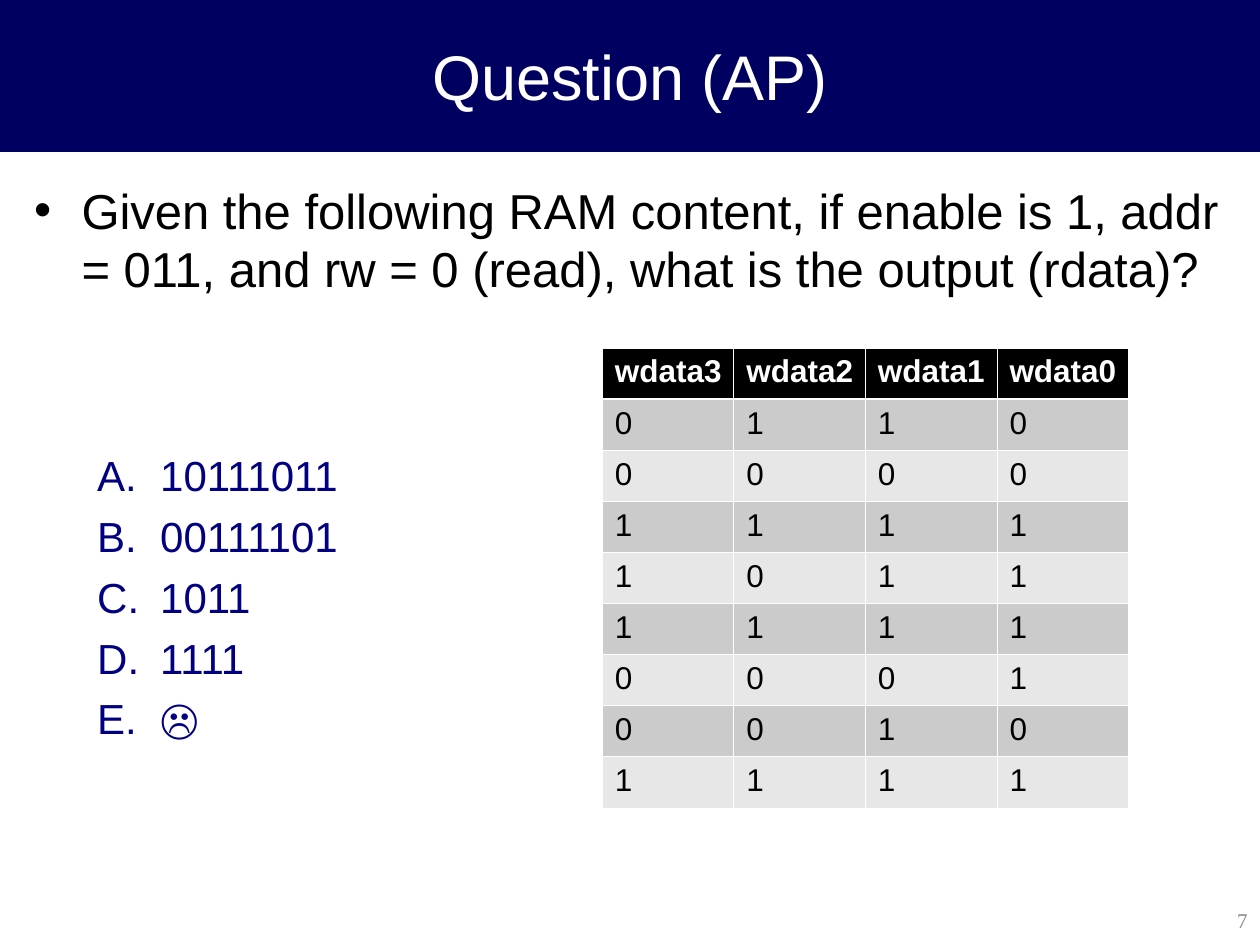
from dataclasses import dataclass

from lxml.etree import SubElement
from pptx import Presentation
from pptx.dml.color import RGBColor
from pptx.enum.shapes import MSO_SHAPE as Shape
from pptx.enum.text import MSO_ANCHOR as Anchor, PP_ALIGN as Align
from pptx.oxml.ns import qn
from pptx.util import Pt

WHITE, BLACK, NAVY, BLUE = "FFFFFF", "000000", "000060", "000080"
DARK, LIGHT, GREY = "CBCBCB", "E7E7E7", "898989"
HEADS = ["wdata3", "wdata2", "wdata1", "wdata0"]
WORDS = ["0110", "0000", "1111", "1011", "1111", "0001", "0010", "1111"]
CHOICES = ["10111011", "00111101", "1011", "1111", "☹"]
COL, ROW = 75.2, 29.2


@dataclass
class Box:
    left: float
    top: float
    width: float
    height: float

    def place(self) -> list:
        return [Pt(v) for v in (self.left, self.top, self.width, self.height)]


@dataclass
class Style:
    size: float
    color: str
    face: str = "Arial"
    bold: bool = False


@dataclass
class Item:
    text: str
    style: Style
    before: float
    left: float
    hang: float
    level: int
    tag: str
    attr: str
    mark: str


def paint(color: str) -> RGBColor:
    return RGBColor.from_string(color)


def write(para, text: str, style: Style) -> None:
    para.text = text
    font = para.font
    font.size, font.name, font.bold = Pt(style.size), style.face, style.bold
    font.color.rgb = paint(style.color)


def add_text(slide, box: Box, anchor):
    frame = slide.shapes.add_textbox(*box.place()).text_frame
    frame.word_wrap = True
    frame.vertical_anchor = anchor
    return frame


def add_label(slide, box: Box, text: str, style: Style, align) -> None:
    para = add_text(slide, box, Anchor.MIDDLE).paragraphs[0]
    para.alignment = align
    write(para, text, style)


def add_item(para, item: Item) -> None:
    write(para, item.text, item.style)
    para.level = item.level
    para.space_before = Pt(item.before)
    props = para._p.get_or_add_pPr()
    props.set("marL", str(Pt(item.left)))
    props.set("indent", str(Pt(-item.hang)))
    tint = SubElement(props, qn("a:buClr"))
    SubElement(tint, qn("a:srgbClr"), val=item.style.color)
    SubElement(props, qn("a:buFont"), typeface="Arial")
    SubElement(props, qn(item.tag)).set(item.attr, item.mark)
    props.append(props.find(qn("a:defRPr")))


def add_edge(cell, side: str, width: float) -> None:
    props = cell._tc.get_or_add_tcPr()
    line = SubElement(props, qn(f"a:ln{side}"), w=str(Pt(width)))
    fill = SubElement(line, qn("a:solidFill"))
    SubElement(fill, qn("a:srgbClr"), val=WHITE)


def fill_cell(cell, text: str, row: int) -> None:
    head = row == 0
    for side in "LRTB":
        thick = (row, side) in ((0, "B"), (1, "T"))
        add_edge(cell, side, 1.47 if thick else 0.45)
    cell.margin_right = Pt(5)
    cell.fill.solid()
    cell.fill.fore_color.rgb = paint(BLACK if head else DARK if row % 2 else LIGHT)
    style = Style(18, WHITE if head else BLACK, bold=head)
    write(cell.text_frame.paragraphs[0], text, style)


def add_grid(slide, left: float, top: float, rows: list) -> None:
    box = Box(left, top, COL * len(rows[0]), ROW * len(rows))
    grid = slide.shapes.add_table(len(rows), len(rows[0]), *box.place()).table
    for col in grid.columns:
        col.width = Pt(COL)
    for r, row in enumerate(rows):
        grid.rows[r].height = Pt(ROW)
        for c, text in enumerate(row):
            fill_cell(grid.cell(r, c), text, r)


def main() -> None:
    deck = Presentation()
    deck.slide_width, deck.slide_height = Pt(720), Pt(540)
    slide = deck.slides.add_slide(deck.slide_layouts[6])

    top = Box(0, 0, 720, 86.4)
    band = slide.shapes.add_shape(Shape.RECTANGLE, *top.place())
    band.shadow.inherit = False
    band.fill.solid()
    band.fill.fore_color.rgb = band.line.color.rgb = paint(NAVY)
    band.line.width = Pt(0.75)
    add_label(slide, top, "Question (AP)", Style(36, WHITE), Align.CENTER)

    ask = ("Given the following RAM content, if enable is 1, addr = 011, "
           "and rw = 0 (read), what is the output (rdata)?")
    items = [Item(ask, Style(28, BLACK), 7, 27, 27, 0, "a:buChar", "char", "•")]
    for n, text in enumerate(CHOICES):
        items.append(Item(text, Style(24, BLUE), 6 if n else 86.6, 72, 36, 1,
                          "a:buAutoNum", "type", "alphaUcPeriod"))
    frame = add_text(slide, Box(12.5, 99.36, 695.5, 411.84), Anchor.TOP)
    for n, item in enumerate(items):
        add_item(frame.add_paragraph() if n else frame.paragraphs[0], item)

    page = Style(12, GREY, "Times New Roman")
    add_label(slide, Box(567.36, 511.2, 152.64, 28.8), "7", page, Align.RIGHT)
    add_grid(slide, 344.16, 198.9, [HEADS, *WORDS])
    deck.save("out.pptx")


if __name__ == "__main__":
    main()
